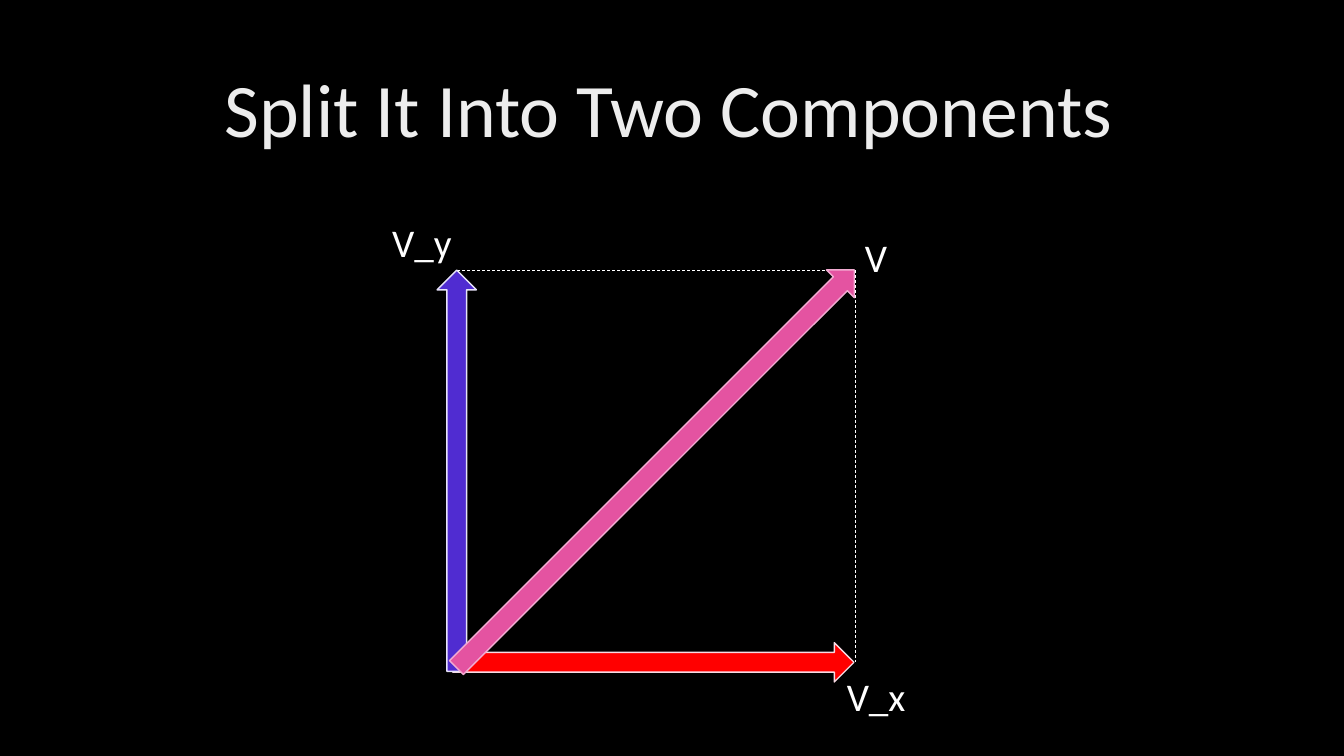
"""Build a slide that splits a vector into its two components."""
from dataclasses import dataclass

from lxml import etree
from pptx import Presentation
from pptx.dml.color import RGBColor
from pptx.enum import dml, shapes, text
from pptx.oxml import ns
from pptx.slide import Slide
from pptx.util import Inches, Pt

FONT = "Calibri"
WHITE = "FFFFFF"
ARROW_WIDTH = 0.39
CORNER = (8.48, 2.68)


@dataclass
class Vector:
    center_x: float
    center_y: float
    length: float
    rotation: int
    fill: str
    line: str


@dataclass
class Label:
    words: str
    left: float
    top: float
    width: float
    height: float = 0.57
    size: int = 28
    color: str = WHITE
    centered: bool = False


X_VECTOR = Vector(6.48, 6.57, 3.98, 0, "FF0000", "F7DAE3")
Y_VECTOR = Vector(4.53, 4.67, 3.98, 270, "502CD1", "E7E3F9")
SUM_VECTOR = Vector(6.5, 4.65, 5.58, 315, "E453A1", "F2ACD2")
GUIDE_ENDS = [(8.48, 6.57), (4.54, 2.68)]
LABELS = [
    Label("Split It Into Two Components", 0.59, 0.4, 12.08, 1.45, 54, "EDEDED", True),
    Label("V_x", 8.3, 6.62, 0.81),
    Label("V_y", 3.79, 2.12, 0.82),
    Label("V", 8.48, 2.27, 0.44),
]


def rgb(value: str) -> RGBColor:
    return RGBColor.from_string(value)


def draw_vector(page: Slide, vector: Vector) -> None:
    arrow = page.shapes.add_shape(
        shapes.MSO_SHAPE.RIGHT_ARROW,
        Inches(vector.center_x - vector.length / 2),
        Inches(vector.center_y - ARROW_WIDTH / 2),
        Inches(vector.length),
        Inches(ARROW_WIDTH),
    )
    arrow.rotation = vector.rotation
    arrow.shadow.inherit = False
    arrow.fill.solid()
    arrow.fill.fore_color.rgb = rgb(vector.fill)
    arrow.line.color.rgb = rgb(vector.line)
    arrow.line.width = Pt(1)


def draw_guide(page: Slide, end: tuple[float, float]) -> None:
    guide = page.shapes.add_connector(
        shapes.MSO_CONNECTOR.STRAIGHT, *(Inches(value) for value in CORNER + end)
    )
    guide.line.color.rgb = rgb(WHITE)
    guide.line.width = Pt(0.5)
    guide.line.dash_style = dml.MSO_LINE.DASH
    etree.SubElement(guide._element.spPr, ns.qn("a:effectLst"))


def draw_label(page: Slide, label: Label) -> None:
    box = page.shapes.add_textbox(
        Inches(label.left), Inches(label.top), Inches(label.width), Inches(label.height)
    )
    frame = box.text_frame
    frame.word_wrap = label.centered
    para = frame.paragraphs[0]
    if label.centered:
        frame.vertical_anchor = text.MSO_ANCHOR.MIDDLE
        para.alignment = text.PP_ALIGN.CENTER
        para.line_spacing = 0.9
    else:
        frame.auto_size = text.MSO_AUTO_SIZE.SHAPE_TO_FIT_TEXT
    span = para.add_run()
    span.text = label.words
    span.font.name = FONT
    span.font.size = Pt(label.size)
    span.font.color.rgb = rgb(label.color)


def main() -> None:
    deck = Presentation()
    deck.slide_width, deck.slide_height = Inches(13.33), Inches(7.5)
    page = deck.slides.add_slide(deck.slide_layouts[6])
    page.background.fill.solid()
    page.background.fill.fore_color.rgb = rgb("000000")
    for vector in (X_VECTOR, Y_VECTOR):
        draw_vector(page, vector)
    for end in GUIDE_ENDS:
        draw_guide(page, end)
    draw_vector(page, SUM_VECTOR)
    for label in LABELS:
        draw_label(page, label)
    deck.save("out.pptx")


if __name__ == "__main__":
    main()
